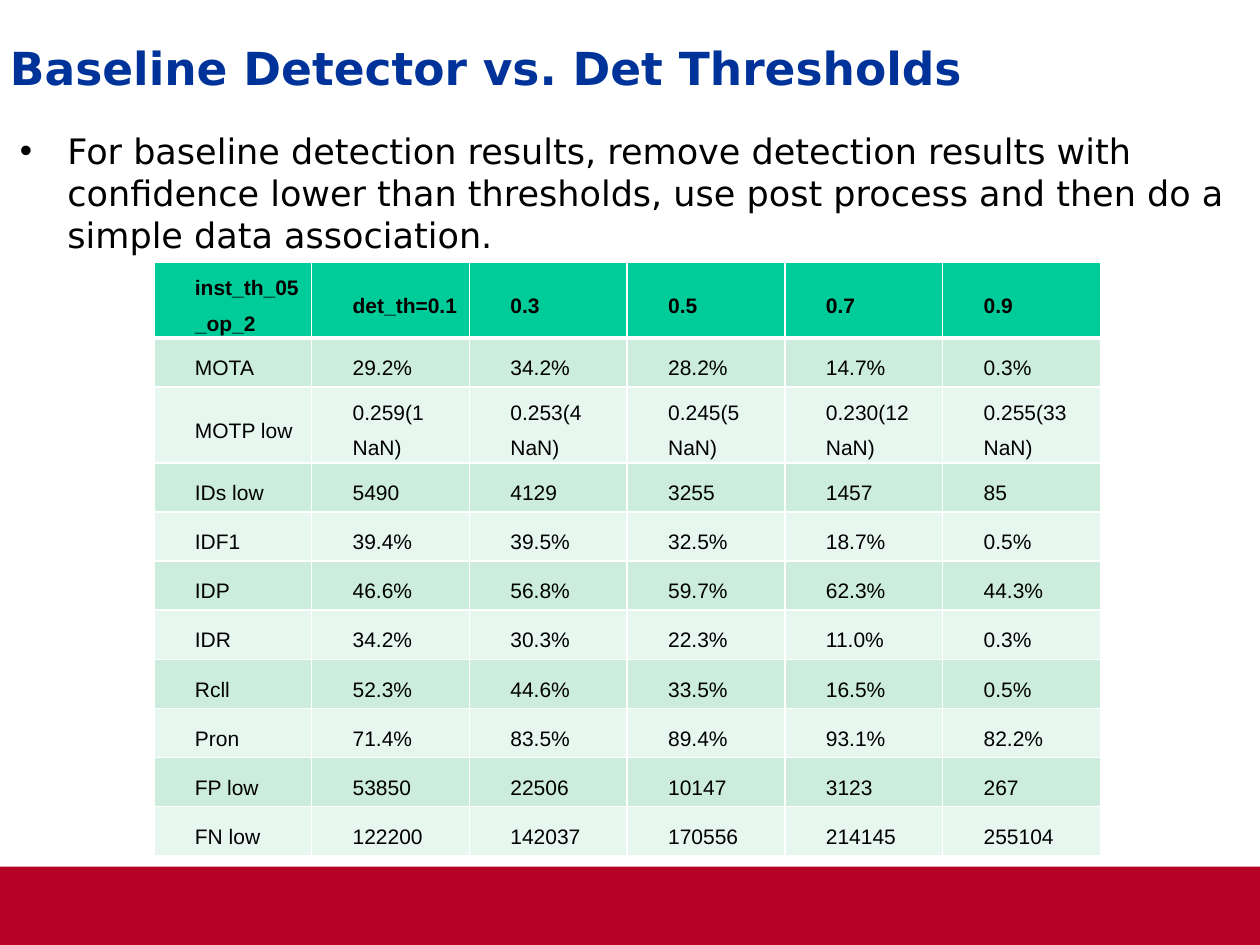
"""Build the slide on baseline detector results by detection threshold."""
import dataclasses

import lxml.etree
import pptx
import pptx.dml.color
import pptx.enum.shapes
import pptx.enum.text
import pptx.oxml.ns
import pptx.util

Cm = pptx.util.Cm
Pt = pptx.util.Pt
qn = pptx.oxml.ns.qn
ANCHOR = pptx.enum.text.MSO_ANCHOR

HUES = {
    "title": "003399",
    "text": "000000",
    "band": "B60225",
    "head": "00CC99",
    "odd": "CCECDE",
    "even": "E7F6EF",
    "rule": "FFFFFF",
}
COL, TALL, LOW = 3.18, 1.47, 0.99


@dataclasses.dataclass
class Row:
    name: str
    vals: list[str]
    high: float = LOW


HEAD = Row("inst_th_05_op_2", ["det_th=0.1", "0.3", "0.5", "0.7", "0.9"], TALL)
ROWS = [
    Row("MOTA", ["29.2%", "34.2%", "28.2%", "14.7%", "0.3%"]),
    Row("MOTP low", ["0.259(1 NaN)", "0.253(4 NaN)", "0.245(5 NaN)",
                     "0.230(12 NaN)", "0.255(33 NaN)"], TALL),
    Row("IDs low", ["5490", "4129", "3255", "1457", "85"]),
    Row("IDF1", ["39.4%", "39.5%", "32.5%", "18.7%", "0.5%"]),
    Row("IDP", ["46.6%", "56.8%", "59.7%", "62.3%", "44.3%"]),
    Row("IDR", ["34.2%", "30.3%", "22.3%", "11.0%", "0.3%"]),
    Row("Rcll", ["52.3%", "44.6%", "33.5%", "16.5%", "0.5%"]),
    Row("Pron", ["71.4%", "83.5%", "89.4%", "93.1%", "82.2%"]),
    Row("FP low", ["53850", "22506", "10147", "3123", "267"]),
    Row("FN low", ["122200", "142037", "170556", "214145", "255104"]),
]


def tint(name: str) -> pptx.dml.color.RGBColor:
    """Give the named colour."""
    return pptx.dml.color.RGBColor.from_string(HUES[name])


def style(para, face: str, size: int, hue: str = "text", bold: bool = False) -> None:
    """Set the font of a whole paragraph."""
    font = para.font
    font.name, font.size, font.bold = face, Pt(size), bold
    font.color.rgb = tint(hue)


def inset(frame) -> None:
    """Set the margins shared by the title and the body."""
    frame.word_wrap = True
    frame.margin_left = frame.margin_top = 0
    frame.margin_right, frame.margin_bottom = Cm(0.25), Cm(0.13)


def draw_title(slide, text: str) -> None:
    """Fill and place the title."""
    title = slide.shapes.title
    title.left, title.top, title.width, title.height = Cm(0.2), Cm(0.48), Cm(24.82), Cm(2)
    frame = title.text_frame
    frame.text = text
    inset(frame)
    frame.vertical_anchor = ANCHOR.MIDDLE
    para = frame.paragraphs[0]
    para.alignment = pptx.enum.text.PP_ALIGN.LEFT
    para.line_spacing = 0.95
    style(para, "DejaVu Sans", 26, "title", True)


def draw_body(slide, text: str) -> None:
    """Draw the bulleted statement."""
    box = slide.shapes.add_textbox(Cm(0.4), Cm(2.62), Cm(24.62), Cm(2.6))
    inset(box.text_frame)
    para = box.text_frame.paragraphs[0]
    para.text = text
    para.space_after = Pt(3)
    props = para._p.get_or_add_pPr()
    props.set("marL", str(Cm(0.96)))
    props.set("indent", str(-Cm(0.96)))
    lxml.etree.SubElement(props, qn("a:buFont")).set("typeface", "Arial")
    lxml.etree.SubElement(props, qn("a:buChar")).set("char", "•")
    style(para, "DejaVu Sans", 20)


def draw_band(slide) -> None:
    """Draw the band along the foot of the slide."""
    band = slide.shapes.add_shape(
        pptx.enum.shapes.MSO_SHAPE.RECTANGLE, 0, Cm(17.47), Cm(25.4), Cm(1.58))
    band.shadow.inherit = False
    band.fill.solid()
    band.fill.fore_color.rgb = tint("band")
    band.line.fill.background()


def edge(cell, sides: dict[str, float]) -> None:
    """Rule the sides of a cell, widths in points."""
    props = cell._tc.get_or_add_tcPr()
    for spot, (side, width) in enumerate(sides.items()):
        line = lxml.etree.Element(qn(f"a:{side}"), w=str(Pt(width)))
        fill = lxml.etree.SubElement(line, qn("a:solidFill"))
        lxml.etree.SubElement(fill, qn("a:srgbClr")).set("val", HUES["rule"])
        props.insert(spot, line)


def draw_cell(cell, text: str, hue: str, top: float, foot: float) -> None:
    """Fill one table cell."""
    cell.text = text
    cell.vertical_anchor = ANCHOR.MIDDLE
    cell.margin_left = cell.margin_right = Cm(0.19)
    cell.margin_top = cell.margin_bottom = 0
    cell.fill.solid()
    cell.fill.fore_color.rgb = tint(hue)
    edge(cell, {"lnL": 1, "lnR": 1, "lnT": top, "lnB": foot})
    para = cell.text_frame.paragraphs[0]
    para.alignment = pptx.enum.text.PP_ALIGN.JUSTIFY
    para.line_spacing = 1.5
    props = para._p.get_or_add_pPr()
    props.set("marL", str(Cm(0.64)))
    props.set("indent", "0")
    style(para, "Arial", 12, bold=hue == "head")


def draw_table(slide, rows: list[Row]) -> None:
    """Draw the table of scores, with its head in the first row."""
    cols = len(rows[0].vals) + 1
    high = sum(row.high for row in rows)
    table = slide.shapes.add_table(
        len(rows), cols, Cm(3.1), Cm(5.29), Cm(COL * cols), Cm(high)).table
    for col in table.columns:
        col.width = Cm(COL)
    for i, row in enumerate(rows):
        table.rows[i].height = Cm(row.high)
        hue = "head" if i == 0 else "odd" if i % 2 else "even"
        top, foot = 3 if i == 1 else 1, 3 if i == 0 else 1
        for j, text in enumerate([row.name, *row.vals]):
            draw_cell(table.cell(i, j), text, hue, top, foot)


def main() -> None:
    """Build and save the slide."""
    deck = pptx.Presentation()
    deck.slide_width, deck.slide_height = Cm(25.4), Cm(19.05)
    slide = deck.slides.add_slide(deck.slide_layouts[5])
    draw_band(slide)
    draw_title(slide, "Baseline Detector vs. Det Thresholds")
    draw_body(slide, "For baseline detection results, remove detection results with "
              "confidence lower than thresholds, use post process and then do a "
              "simple data association.")
    draw_table(slide, [HEAD, *ROWS])
    deck.save("out.pptx")


if __name__ == "__main__":
    main()
